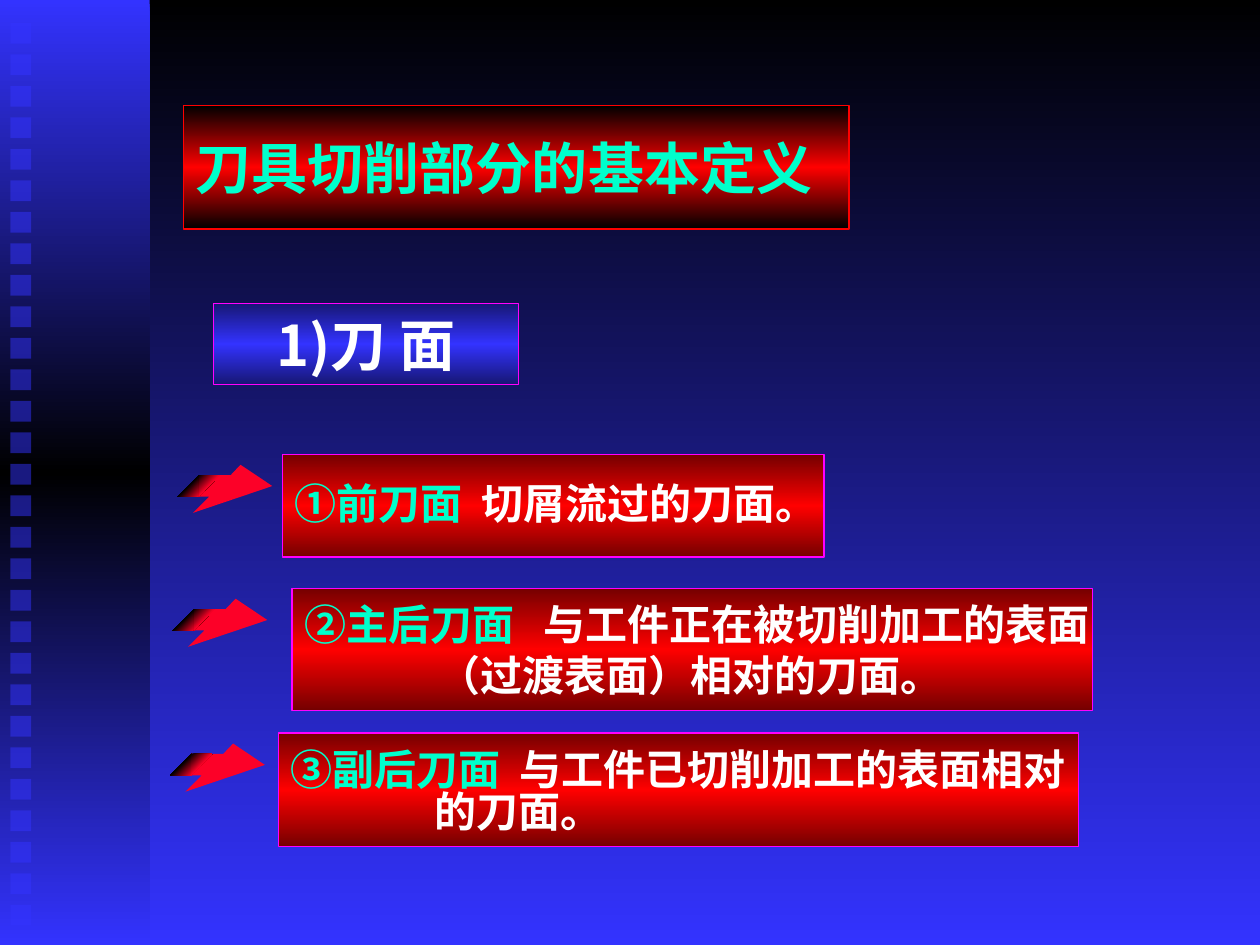
from pptx import Presentation
from pptx import util as u
from pptx.dml import color
from pptx.enum import shapes, text
from pptx.oxml import ns
from lxml import etree

BLUE, RED, BLACK, WHITE = "3333FF", "FF0000", "000000", "FFFFFF"
MINT, PINK, FLAME = "00FFCC", "FF00FF", "FC0128"
WINE = ("750000", RED, "750000")

ARROW = [(1.91, 0.43), (1.27, 0), (1.07, 0.21), (0.43, 0.21),
         (0, 0.64), (0.64, 0.64), (0.31, 0.97)]
TAIL = [(0.43, 0.21), (0.43, 0.64), (0, 0.64)]
FOLD = [(0.85, 0.21), (0.43, 0.21), (0.43, 0.64)]


def rgb(code):
    return color.RGBColor.from_string(code)


def blend(fill, root, hues, angle=90):
    """Fill with evenly spaced hues, the angle running clockwise."""
    fill.gradient()
    fill.gradient_angle = 360 - angle
    stops = root.find(".//" + ns.qn("a:gsLst"))
    for old in list(stops):
        stops.remove(old)
    for i, hue in enumerate(hues):
        stop = etree.SubElement(stops, ns.qn("a:gs"))
        stop.set("pos", str(100000 * i // (len(hues) - 1)))
        etree.SubElement(stop, ns.qn("a:srgbClr")).set("val", hue)


class Deck:
    """Holds the text style and the current slide."""

    def __init__(self, font):
        self.font = font
        self.prs = Presentation()
        self.prs.slide_width = u.Cm(25.4)
        self.prs.slide_height = u.Cm(19.05)
        self.slide = self.prs.slides.add_slide(self.prs.slide_layouts[6])

    def ground(self, *hues):
        blend(self.slide.background.fill, self.slide._element, hues)

    def paint(self, shape, hues, angle=90):
        """Use one hue as a solid fill and several as a gradient."""
        shape.shadow.inherit = False
        shape.line.fill.background()
        if len(hues) > 1:
            blend(shape.fill, shape._element, hues, angle)
        else:
            shape.fill.solid()
            shape.fill.fore_color.rgb = rgb(hues[0])

    def rect(self, x, y, w, h, *hues):
        box = self.slide.shapes.add_shape(
            shapes.MSO_SHAPE.RECTANGLE, u.Cm(x), u.Cm(y), u.Cm(w), u.Cm(h))
        self.paint(box, hues)
        return box

    def veil(self, shape, share):
        """Make a solid fill partly transparent."""
        hue = shape._element.spPr.find(".//" + ns.qn("a:srgbClr"))
        etree.SubElement(hue, ns.qn("a:alpha")).set("val", str(share * 1000))

    def poly(self, x, y, points, hues, angle=225):
        spots = [(u.Cm(x + dx), u.Cm(y + dy)) for dx, dy in points]
        form = self.slide.shapes.build_freeform(*spots[0])
        form.add_line_segments(spots[1:], close=True)
        self.paint(form.convert_to_shape(), hues, angle)

    def arrow(self, x, y):
        self.poly(x, y, ARROW, [FLAME])
        self.poly(x, y, TAIL, [FLAME, BLACK, FLAME])
        self.poly(x, y, FOLD, [BLACK, FLAME, BLACK])

    def panel(self, place, hues, edge, lines, size, width=0.75,
              align="LEFT", pads=(0.13, 0.13), right=0.25,
              indent=0, lead=None):
        """Draw a framed box; each line is a list of (words, hue)."""
        box = self.rect(*place, *hues)
        box.line.color.rgb = rgb(edge)
        box.line.width = u.Pt(width)
        frame = box.text_frame
        frame.word_wrap = True
        frame.vertical_anchor = text.MSO_ANCHOR.MIDDLE
        frame.margin_left, frame.margin_right = u.Cm(0.25), u.Cm(right)
        frame.margin_top, frame.margin_bottom = map(u.Cm, pads)
        for i, line in enumerate(lines):
            para = frame.add_paragraph() if i else frame.paragraphs[0]
            para.alignment = getattr(text.PP_ALIGN, align)
            para.line_spacing = lead
            if i:
                para._p.get_or_add_pPr().set("marL", str(u.Cm(indent)))
            font = para.font
            font.size, font.bold = u.Pt(size), True
            font.color.rgb = rgb(line[0][1])
            font.name = self.font
            east = etree.SubElement(font._rPr, ns.qn("a:ea"))
            east.set("typeface", self.font)
            for words, hue in line:
                run = para.add_run()
                run.text = words
                if len(line) > 1:
                    run.font.color.rgb = rgb(hue)

    def note(self, place, lines, **style):
        self.panel(place, WINE, PINK, lines, 24, right=0, **style)


def main():
    deck = Deck("Noto Sans CJK SC")
    deck.ground(BLACK, BLUE)
    deck.rect(0, 0, 3.02, 19.05, BLUE, BLACK, BLUE)
    for i in range(29):
        tile = deck.rect(0.21, 0.46 + i * 17.78 / 28, 0.42, 0.42, BLUE)
        deck.veil(tile, 50)

    deck.panel((3.7, 2.13, 13.41, 2.49), (BLACK, RED, BLACK), RED,
               [[("刀具切削部分的基本定义", MINT)]], 32, width=1)
    deck.panel((4.3, 6.12, 6.15, 1.63), ("171775", BLUE, "171775"), PINK,
               [[("1)刀 面", WHITE)]], 32, align="CENTER")

    deck.note((5.69, 9.17, 10.92, 2.06),
              [[("①前刀面  ", MINT), ("切屑流过的刀面。", WHITE)]],
              pads=(0.13, 0.25))
    deck.note((5.89, 11.86, 16.13, 2.46),
              [[("②主后刀面   ", MINT), ("与工件正在被切削加工的表面", WHITE)],
               [("（过渡表面）相对的刀面。", WHITE)]], indent=2.7)
    deck.note((5.61, 14.78, 16.13, 2.29),
              [[("③副后刀面  ", MINT), ("与工件已切削加工的表面相对", WHITE)],
               [("的刀面。", WHITE)]],
              indent=2.9, lead=0.83, pads=(0.28, 0.13))

    for x, y in ((3.58, 9.37), (3.48, 12.07), (3.43, 14.99)):
        deck.arrow(x, y)
    deck.prs.save("out.pptx")


if __name__ == "__main__":
    main()
